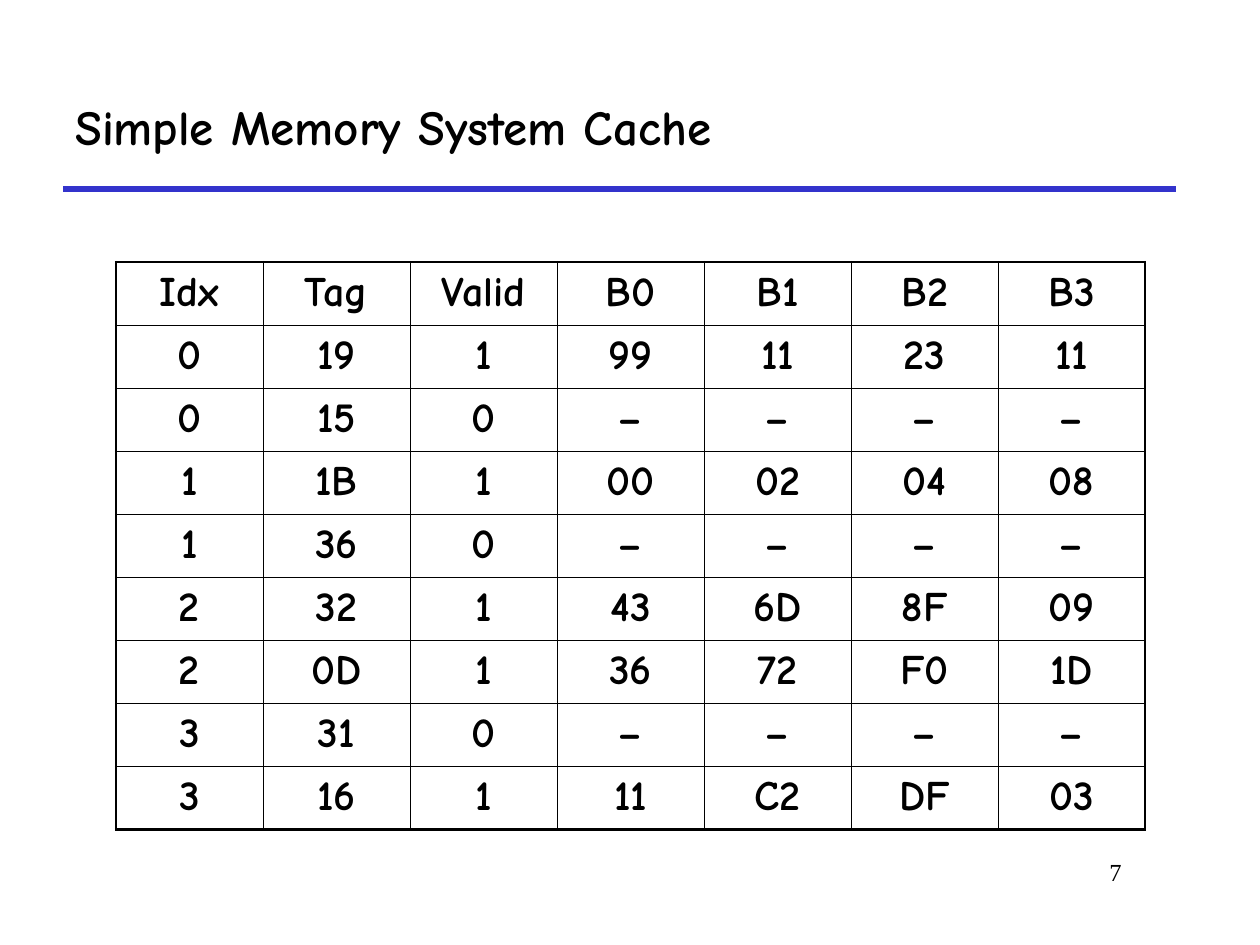
from dataclasses import dataclass

from pptx import Presentation
from pptx.dml.color import RGBColor
from pptx.enum.shapes import MSO_CONNECTOR
from pptx.enum.text import MSO_ANCHOR as ANCHOR, PP_ALIGN as ALIGN
from pptx.oxml.ns import qn
from pptx.util import Inches, Pt
from lxml.etree import SubElement

BLACK = RGBColor(0x00, 0x00, 0x00)
BLUE = RGBColor(0x33, 0x33, 0xCC)
COMIC, TIMES = "Comic Neue", "Times New Roman"

WIDTH, HEIGHT = 10, 7.5
LEFT, RIGHT, RULE_Y = 0.5, 9.33, 1.5
TABLE_X, TABLE_Y, TABLE_W, ROW_H = 0.92, 2.08, 8.17, 0.5
THICK, THIN = 1.47, 0.45

CACHE = [line.split() for line in (
    "Idx Tag Valid B0 B1 B2 B3",
    "0 19 1 99 11 23 11",
    "0 15 0 – – – –",
    "1 1B 1 00 02 04 08",
    "1 36 0 – – – –",
    "2 32 1 43 6D 8F 09",
    "2 0D 1 36 72 F0 1D",
    "3 31 0 – – – –",
    "3 16 1 11 C2 DF 03",
)]


@dataclass
class Label:
    text: str
    x: float
    y: float
    w: float
    h: float
    font: dict
    align: ALIGN = ALIGN.LEFT
    anchor: ANCHOR = ANCHOR.TOP


LABELS = [
    Label("7", 7.58, 6.75, 1.42, 0.5, dict(name=TIMES, size=Pt(14)), ALIGN.RIGHT),
    Label("Simple Memory System Cache", LEFT, 0.5, RIGHT - LEFT, 1,
          dict(name=COMIC, size=Pt(28), bold=True), anchor=ANCHOR.MIDDLE),
]
CELL_FONT = dict(name=COMIC, size=Pt(24), bold=True)


def write(tf, text: str, font: dict, align: ALIGN, before: float = 0) -> None:
    p = tf.paragraphs[0]
    p.alignment, p.space_before = align, Pt(before)
    r = p.add_run()
    r.text = text
    for key, value in font.items():
        setattr(r.font, key, value)
    r.font.color.rgb = BLACK


def add_label(s, label: Label) -> None:
    box = s.shapes.add_textbox(*map(Inches, (label.x, label.y, label.w, label.h)))
    tf = box.text_frame
    tf.word_wrap, tf.vertical_anchor = True, label.anchor
    write(tf, label.text, label.font, label.align)


def add_rule(s) -> None:
    rule = s.shapes.add_connector(MSO_CONNECTOR.STRAIGHT, *map(
        Inches, (LEFT, RULE_Y, RIGHT, RULE_Y)))
    rule.line.color.rgb, rule.line.width = BLUE, Pt(3)
    SubElement(rule.element.spPr, qn("a:effectLst"))


def set_borders(cell, widths: dict) -> None:
    tc_pr = cell._tc.get_or_add_tcPr()
    for i, (side, width) in enumerate(widths.items()):
        ln = tc_pr.makeelement(qn(f"a:ln{side}"), {"w": str(Pt(width))})
        fill = SubElement(ln, qn("a:solidFill"))
        SubElement(fill, qn("a:srgbClr"), val=str(BLACK))
        tc_pr.insert(i, ln)


def add_cache_table(s) -> None:
    n_rows, n_cols = len(CACHE), len(CACHE[0])
    table = s.shapes.add_table(n_rows, n_cols, *map(
        Inches, (TABLE_X, TABLE_Y, TABLE_W, n_rows * ROW_H))).table
    table.first_row = table.horz_banding = False
    for i, values in enumerate(CACHE):
        for j, value in enumerate(values):
            cell = table.cell(i, j)
            cell.fill.background()
            write(cell.text_frame, value, CELL_FONT, ALIGN.CENTER, before=6)
            # Thick frame outside, thin grid inside
            edges = dict(L=j == 0, R=j == n_cols - 1, T=i == 0, B=i == n_rows - 1)
            set_borders(cell, {k: THICK if edge else THIN for k, edge in edges.items()})


prs = Presentation()
prs.slide_width, prs.slide_height = Inches(WIDTH), Inches(HEIGHT)
s = prs.slides.add_slide(prs.slide_layouts[6])

# Rule, page number and title
add_rule(s)
for label in LABELS:
    add_label(s, label)

# Cache contents
add_cache_table(s)

prs.save("out.pptx")
